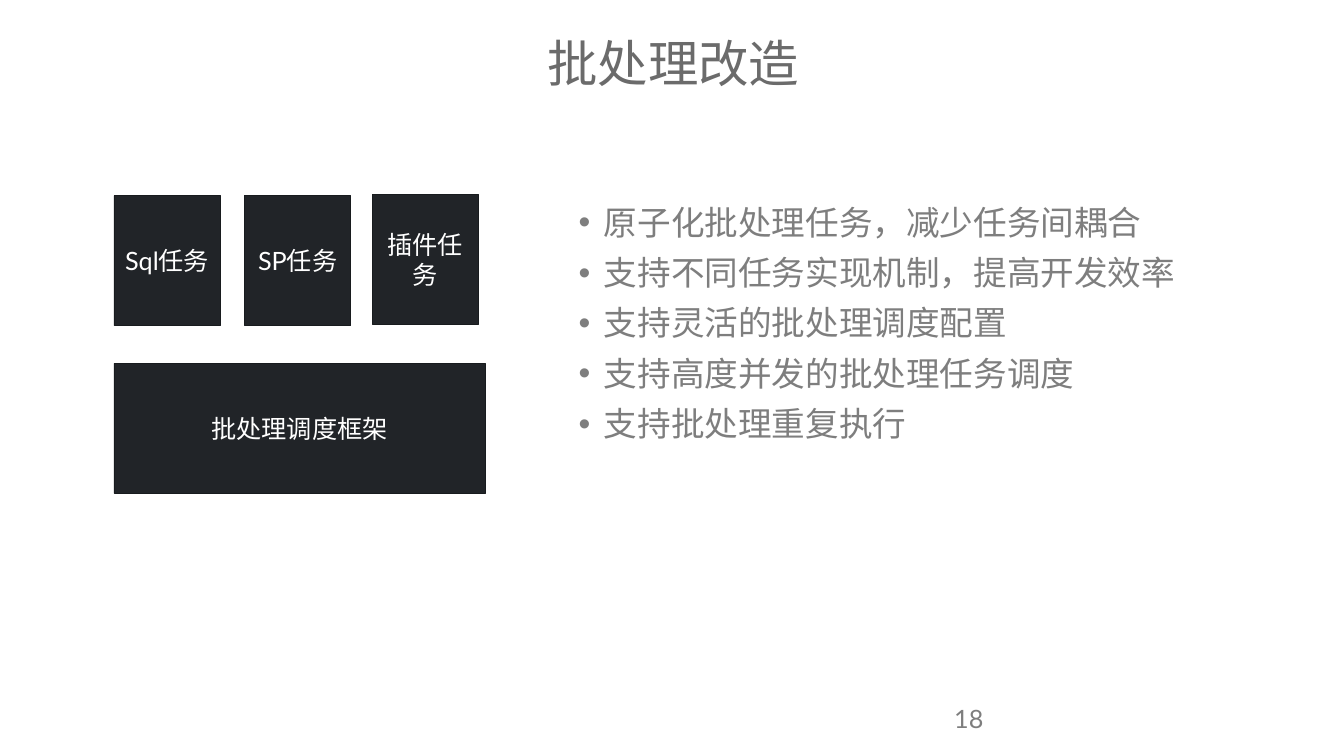
from pptx import Presentation
from pptx.dml.color import RGBColor
from pptx.enum.shapes import MSO_SHAPE
from pptx.enum.text import MSO_ANCHOR, MSO_AUTO_SIZE, PP_ALIGN
from pptx.util import Inches, Pt

RECTANGLE = MSO_SHAPE.RECTANGLE
MIDDLE, TOP = MSO_ANCHOR.MIDDLE, MSO_ANCHOR.TOP
NO_FIT = MSO_AUTO_SIZE.NONE
CENTER, LEFT = PP_ALIGN.CENTER, PP_ALIGN.LEFT

SLIDE_W, SLIDE_H = 26.66, 15
COLORS = {
    "title": "6B6B6B",
    "body": "7E7E7E",
    "block": "212428",
    "block_edge": "181B1E",
    "block_text": "FFFFFF",
}

# Block diagram: left and top of each task, above the shared framework
BLOCK_H = 2.58
TASK_W = 2.11
TASKS = [("Sql任务", 2.26, 3.88), ("SP任务", 4.85, 3.88), ("插件任务", 7.38, 3.85)]
FRAMEWORK_W, FRAMEWORK_TOP = 7.36, 7.21

BENEFITS = [
    "原子化批处理任务，减少任务间耦合",
    "支持不同任务实现机制，提高开发效率",
    "支持灵活的批处理调度配置",
    "支持高度并发的批处理任务调度",
    "支持批处理重复执行",
]


def rgb(role):
    return RGBColor.from_string(COLORS[role])


def place(shape, left, top, width, height):
    shape.left, shape.top = Inches(left), Inches(top)
    shape.width, shape.height = Inches(width), Inches(height)


def set_frame(frame, anchor, side_inset, end_inset, wrap=True):
    frame.auto_size = NO_FIT
    frame.word_wrap = wrap
    frame.vertical_anchor = anchor
    frame.margin_left = frame.margin_right = Inches(side_inset)
    frame.margin_top = frame.margin_bottom = Inches(end_inset)


def style(paragraph, font_name, size, role, align=LEFT):
    paragraph.alignment = align
    paragraph.font.name = font_name
    paragraph.font.size = Pt(size)
    paragraph.font.color.rgb = rgb(role)


def set_title(title, text):
    place(title, 10.83, 0.63, 5.05, 1.21)
    title.text = text
    set_frame(title.text_frame, MIDDLE, 0, 0, wrap=False)
    style(title.text_frame.paragraphs[0], "Noto Sans CJK SC", 72, "title", CENTER)


def set_bullets(body, items):
    place(body, 11.28, 3.99, 13.55, 9.52)
    frame = body.text_frame
    frame.text = "\n".join(items)
    set_frame(frame, TOP, 0.2, 0.1)
    for index, paragraph in enumerate(frame.paragraphs):
        properties = paragraph._p.get_or_add_pPr()
        properties.set("marL", str(Inches(0.5)))
        properties.set("indent", str(Inches(-0.5)))
        paragraph.line_spacing = 0.9
        paragraph.space_before = Pt(20 if index else 0)
        style(paragraph, "Roboto", 48, "body")


def add_block(slide, text, left, top, width):
    block = slide.shapes.add_shape(
        RECTANGLE, Inches(left), Inches(top), Inches(width), Inches(BLOCK_H))
    block.shadow.inherit = False
    block.fill.solid()
    block.fill.fore_color.rgb = rgb("block")
    block.line.color.rgb = rgb("block_edge")
    block.line.width = Pt(1)
    block.text_frame.text = text
    set_frame(block.text_frame, MIDDLE, 0.1, 0.05)
    style(block.text_frame.paragraphs[0], "Lato", 36, "block_text", CENTER)


def add_page_number(slide, number):
    page = slide.shapes.add_textbox(
        Inches(18.83), Inches(13.9), Inches(6), Inches(0.8))
    page.text_frame.text = number
    set_frame(page.text_frame, TOP, 0.1, 0.05)
    style(page.text_frame.paragraphs[0], "Lato", 36, "body")


def main():
    presentation = Presentation()
    presentation.slide_width = Inches(SLIDE_W)
    presentation.slide_height = Inches(SLIDE_H)
    slide = presentation.slides.add_slide(presentation.slide_layouts[1])

    set_title(slide.shapes.title, "批处理改造")
    set_bullets(slide.placeholders[1], BENEFITS)
    add_page_number(slide, "18")
    add_block(slide, "批处理调度框架", TASKS[0][1], FRAMEWORK_TOP, FRAMEWORK_W)
    for task, left, top in TASKS:
        add_block(slide, task, left, top, TASK_W)

    presentation.save("out.pptx")


if __name__ == "__main__":
    main()
